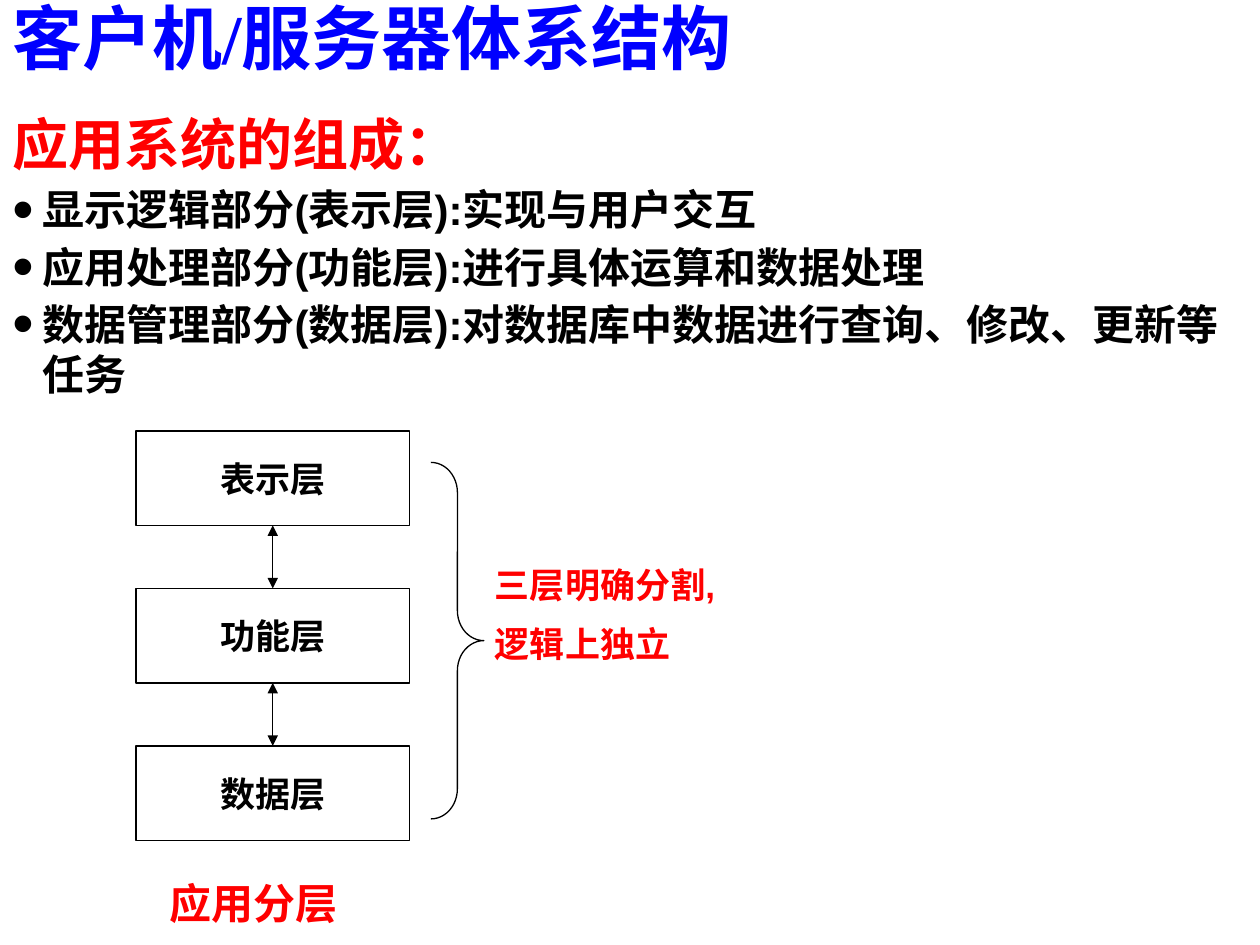
from lxml import etree
from pptx import Presentation
from pptx.dml.color import RGBColor
from pptx.enum import shapes, text
from pptx.oxml import ns
from pptx.util import Inches, Pt

COLORS = {"title": "0000FF", "accent": "FF0000", "ink": "000000"}
SANS, SERIF, CJK = "Arial", "Times New Roman", "Noto Sans CJK SC"


def add_run(p, words, size, font, color):
    r = p.add_run()
    r.text = words
    r.font.size = Pt(size)
    r.font.name = font
    r.font.bold = True
    r.font.color.rgb = RGBColor.from_string(COLORS[color])


def add_text(s, left, top, width, height, anchor=text.MSO_ANCHOR.TOP):
    box = s.shapes.add_textbox(Inches(left), Inches(top), Inches(width), Inches(height))
    tf = box.text_frame
    tf.word_wrap = True
    tf.vertical_anchor = anchor
    return tf


prs = Presentation()
prs.slide_width, prs.slide_height = Inches(10), Inches(7.5)
s = prs.slides.add_slide(prs.slide_layouts[6])

tf = add_text(s, 0, 0, 10, 0.58, text.MSO_ANCHOR.MIDDLE)
add_run(tf.paragraphs[0], "客户机/服务器体系结构", 40, SERIF, "title")

tf = add_text(s, 0, 0.82, 10, 2.41)
add_run(tf.paragraphs[0], "应用系统的组成：", 32, SANS, "accent")
for words in (
    "显示逻辑部分(表示层):实现与用户交互",
    "应用处理部分(功能层):进行具体运算和数据处理",
    "数据管理部分(数据层):对数据库中数据进行查询、修改、更新等任务",
):
    p = tf.add_paragraph()
    p.space_before = Pt(4)
    pPr = p._p.get_or_add_pPr()
    pPr.set("marL", str(Inches(0.24)))
    pPr.set("indent", str(-Inches(0.24)))
    etree.SubElement(pPr, ns.qn("a:buSzPct")).set("val", "145000")
    etree.SubElement(pPr, ns.qn("a:buFont")).set("typeface", SANS)
    etree.SubElement(pPr, ns.qn("a:buChar")).set("char", "•")
    add_run(p, words, 24, SANS, "ink")

tf = add_text(s, 1.25, 6.83, 2.25, 0.67, text.MSO_ANCHOR.MIDDLE)
add_run(tf.paragraphs[0], "应用分层", 24, CJK, "accent")

layers = ["表示层", "功能层", "数据层"]
left, top, width, height, pitch = 1.08, 3.42, 2.17, 0.75, 1.25
for i, layer in enumerate(layers):
    y = top + i * pitch
    sp = s.shapes.add_shape(shapes.MSO_SHAPE.RECTANGLE, Inches(left), Inches(y),
                            Inches(width), Inches(height))
    sp.shadow.inherit = False
    sp.fill.background()
    sp.line.color.rgb = RGBColor.from_string(COLORS["ink"])
    sp.line.width = Pt(0.75)
    tf = sp.text_frame
    tf.word_wrap = False
    tf.vertical_anchor = text.MSO_ANCHOR.MIDDLE
    p = tf.paragraphs[0]
    p.alignment = text.PP_ALIGN.CENTER
    add_run(p, layer, 20, SANS, "ink")

for i in range(len(layers) - 1):
    x = Inches(left + width / 2)
    y = top + height + i * pitch
    arrow = s.shapes.add_connector(shapes.MSO_CONNECTOR.STRAIGHT, x, Inches(y),
                                   x, Inches(top + (i + 1) * pitch))
    arrow.line.color.rgb = RGBColor.from_string(COLORS["ink"])
    arrow.line.width = Pt(0.75)
    ln = arrow.line._get_or_add_ln()
    for end in ("a:headEnd", "a:tailEnd"):
        etree.SubElement(ln, ns.qn(end)).set("type", "triangle")
    etree.SubElement(arrow._element.spPr, ns.qn("a:effectLst"))

tf = add_text(s, 3.83, 4.42, 3.08, 0.93)
p = tf.paragraphs[0]
add_run(p, "三层明确分割", 20, CJK, "accent")
add_run(p, ",", 20, SANS, "accent")
p = tf.add_paragraph()
p.space_before = Pt(10)
add_run(p, "逻辑上独立", 20, CJK, "accent")

brace = s.shapes.add_shape(shapes.MSO_SHAPE.RIGHT_BRACE, Inches(3.42), Inches(3.67),
                           Inches(0.42), Inches(2.83))
brace.shadow.inherit = False
brace.adjustments[0] = 0.57
brace.adjustments[1] = 0.5
brace.fill.background()
brace.line.color.rgb = RGBColor.from_string(COLORS["ink"])
brace.line.width = Pt(0.75)

prs.save("out.pptx")
